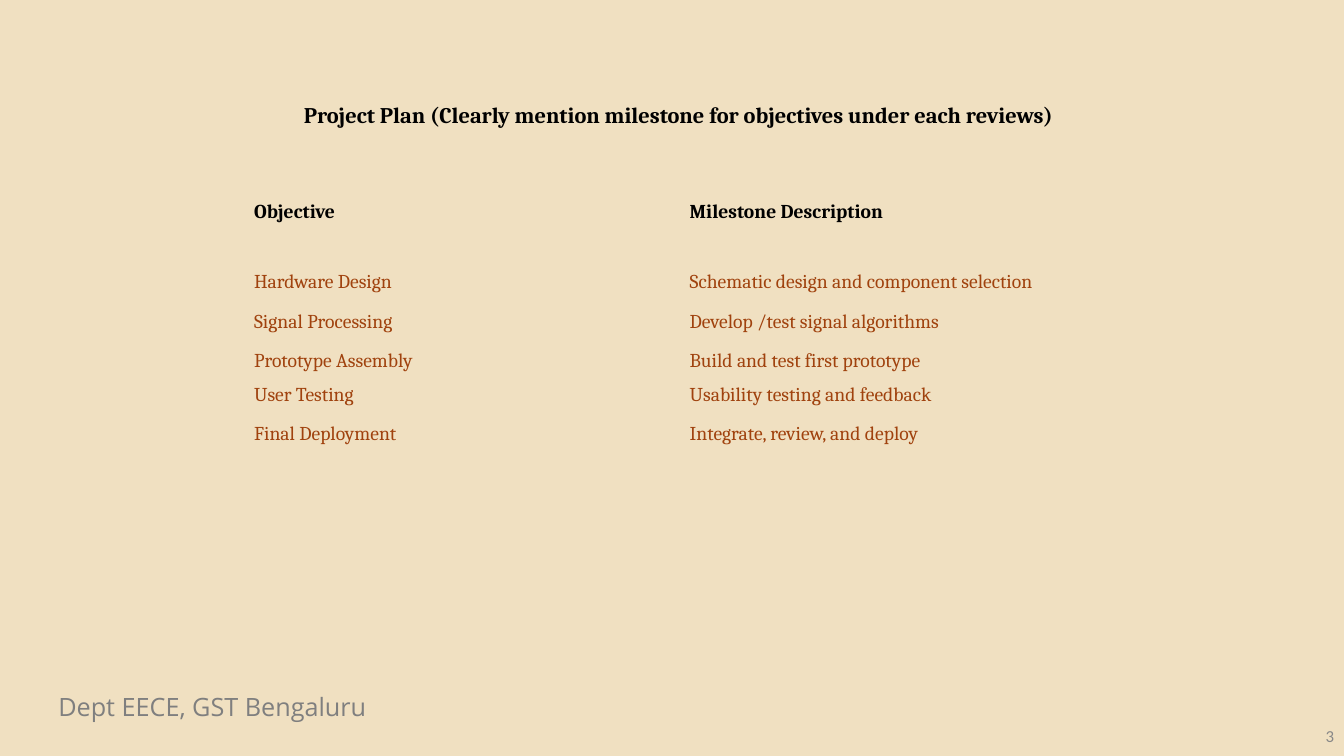
from pptx import Presentation
from pptx.dml.color import RGBColor
from pptx.enum.text import MSO_ANCHOR, PP_ALIGN
from pptx.oxml.ns import qn
from pptx.util import Inches, Pt

LEFT, CENTER, RIGHT = PP_ALIGN.LEFT, PP_ALIGN.CENTER, PP_ALIGN.RIGHT
TOP, MIDDLE = MSO_ANCHOR.TOP, MSO_ANCHOR.MIDDLE
NO_GRID_STYLE = "{2D5ABB26-0587-4C30-8999-92F81FD0307C}"

COLORS = {
    "background": "F0E0C1",
    "heading": "000000",
    "body": "A0420E",
    "footer": "7F7F7F",
    "number": "888888",
}
MILESTONES = [
    ("Objective", "Milestone Description"),
    ("Hardware Design", "Schematic design and component selection"),
    ("Signal Processing", "Develop /test signal algorithms"),
    ("Prototype Assembly", "Build and test first prototype"),
    ("User Testing", "Usability testing and feedback"),
    ("Final Deployment", "Integrate, review, and deploy"),
]
COLUMN_WIDTHS = [4.32, 4.5]
ROW_HEIGHTS = [0.7, 0.39, 0.39, 0.32, 0.39, 0.39]


def write_text(text_frame, text, size, font, color, bold=False, align=LEFT):
    paragraph = text_frame.paragraphs[0]
    paragraph.alignment = align
    run = paragraph.add_run()
    run.text = text
    run.font.size = Pt(size)
    run.font.name = font
    run.font.bold = bold
    run.font.color.rgb = RGBColor.from_string(COLORS[color])


def add_label(slide, box, text, size, font, color, bold=False, align=LEFT, anchor=TOP):
    shape = slide.shapes.add_textbox(*map(Inches, box))
    shape.text_frame.word_wrap = True
    shape.text_frame.vertical_anchor = anchor
    write_text(shape.text_frame, text, size, font, color, bold, align)


def add_milestone_table(slide, box):
    shape = slide.shapes.add_table(
        len(MILESTONES), len(COLUMN_WIDTHS), *map(Inches, box))
    table = shape.table
    table.first_row = True
    table.horz_banding = False
    # Plain style without grid lines
    table._tbl.tblPr.find(qn("a:tableStyleId")).text = NO_GRID_STYLE
    for column, width in zip(table.columns, COLUMN_WIDTHS):
        column.width = Inches(width)
    for index, (row, texts) in enumerate(zip(table.rows, MILESTONES)):
        row.height = Inches(ROW_HEIGHTS[index])
        is_header = index == 0
        color = "heading" if is_header else "body"
        for cell, text in zip(row.cells, texts):
            cell.fill.background()
            write_text(cell.text_frame, text, 14, "Cambria", color, is_header)


def build_plan_slide(presentation):
    slide = presentation.slides.add_slide(presentation.slide_layouts[6])
    fill = slide.background.fill
    fill.solid()
    fill.fore_color.rgb = RGBColor.from_string(COLORS["background"])

    # Footer and slide number
    add_label(slide, (0.48, 6.81, 5.24, 0.4), "Dept EECE, GST Bengaluru",
              18, "Open Sans", "footer")
    add_label(slide, (10.33, 7.1, 3, 0.4), "3",
              12, "Calibri", "number", align=RIGHT, anchor=MIDDLE)

    # Title
    add_label(slide, (0.64, 0.95, 12.18, 0.54),
              "Project Plan (Clearly mention milestone for objectives under each reviews)",
              16, "Cambria", "heading", bold=True, align=CENTER)

    # Objectives and milestones
    add_milestone_table(
        slide, (2.42, 1.94, sum(COLUMN_WIDTHS), sum(ROW_HEIGHTS)))


def main():
    presentation = Presentation()
    presentation.slide_width = Inches(13.33)
    presentation.slide_height = Inches(7.5)
    build_plan_slide(presentation)
    presentation.save("out.pptx")


if __name__ == "__main__":
    main()
